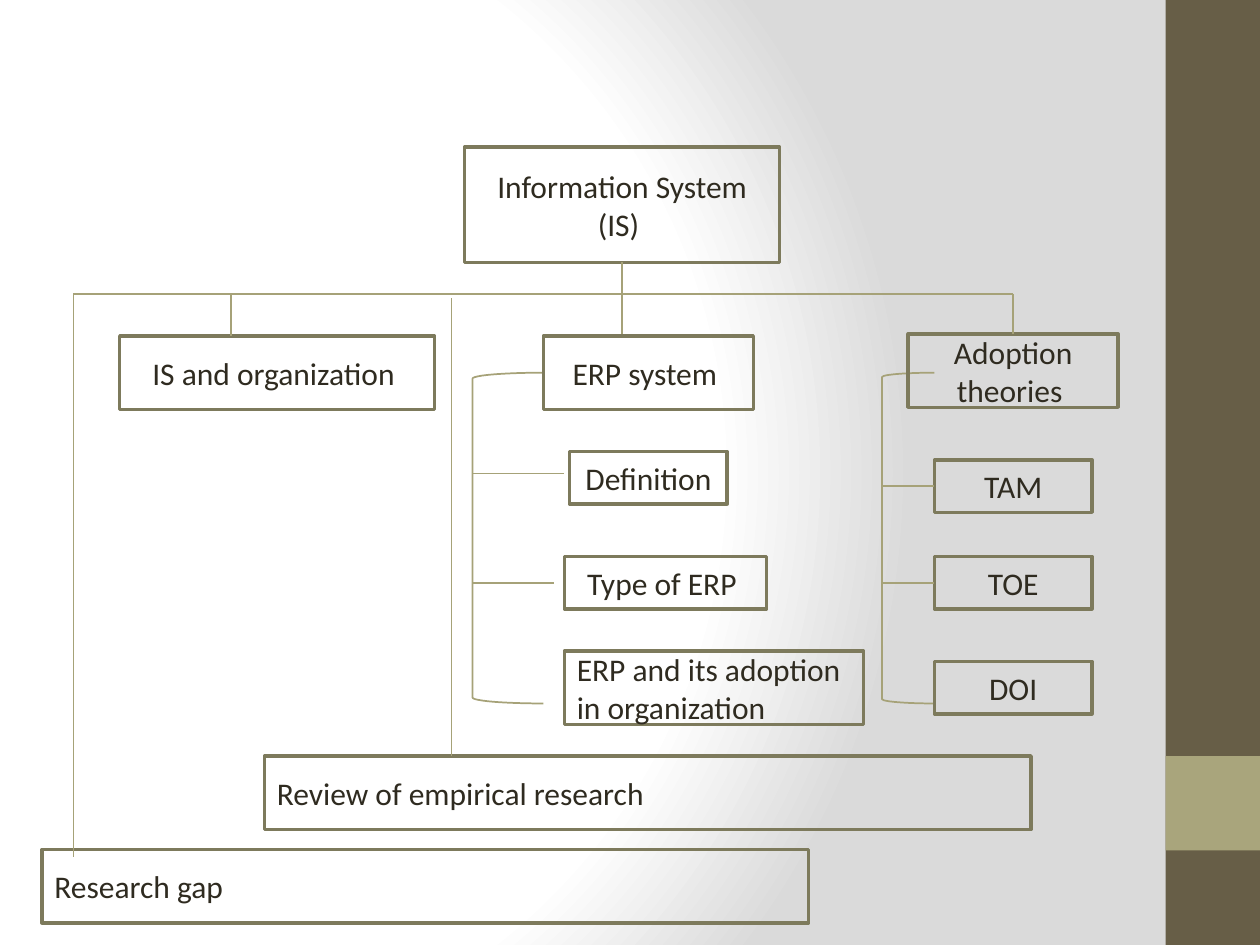
"""Builds a slide with the outline of a literature review on information systems."""
from lxml import etree
from pptx import Presentation
from pptx import util as u
from pptx.dml.color import RGBColor
from pptx.enum import shapes, text
from pptx.oxml.ns import qn

COLORS = {
    "text": "2F2B20", "border": "7D7A5C", "link": "A6A278",
    "band": "675E47", "accent": "A9A57C", "light": "FFFFFF", "shade": "DADADA",
}
COLUMNS, ROWS = 120, 90
CELL = u.Inches(10) / COLUMNS
SPINE_ROW = 28

BOXES = [
    ("Information System (IS) ", 44.25, 14, 30, 11),
    ("IS and organization ", 11.4, 32, 30, 7),
    ("ERP system ", 51.75, 32, 20, 7),
    ("Definition ", 54.25, 43, 15, 5),
    ("Type of ERP ", 53.75, 53, 19.25, 5),
    ("Adoption theories ", 86.5, 31.8, 20, 7),
    ("TAM", 89, 43.8, 15, 5),
    ("TOE", 89, 53, 15, 5),
    ("DOI", 89, 63, 15, 5),
]
LEFT_BOXES = [
    ("ERP and its adoption in organization", 53.75, 62, 28.5, 7),
    ("Review of empirical research", 25.2, 72, 73, 7),
    ("Research gap", 4, 80.9, 73, 7),
]
BRACKETS = [(45, 35.5, 6.75, 31.5), (84, 35.5, 5, 31.5)]
LINES = [
    (7, SPINE_ROW, 96.5, SPINE_ROW),
    (22, SPINE_ROW, 22, 32),
    (43, 28.4, 43, 72),
    (7, SPINE_ROW, 7, 81.6),
    (45, 45.1, 53.75, 45.1),
    (45, 55.5, 52.8, 55.5),
]


def grid(*cells):
    return [round(cell * CELL) for cell in cells]


def color(name):
    return RGBColor.from_string(COLORS[name])


def paint_background(page):
    page.background.fill.gradient()
    gradient = page.element.find(".//" + qn("a:gradFill"))
    for child in list(gradient):
        gradient.remove(child)
    stops = etree.SubElement(gradient, qn("a:gsLst"))
    for position, name in ((0, "light"), (75, "light"), (100, "shade")):
        stop = etree.SubElement(stops, qn("a:gs"), pos=str(position * 1000))
        etree.SubElement(stop, qn("a:srgbClr"), val=COLORS[name])
    circle = etree.SubElement(gradient, qn("a:path"), path="circle")
    etree.SubElement(circle, qn("a:fillToRect"), l="20000", t="50000", r="100000", b="50000")


def add_band(page, name, *cells):
    band = page.shapes.add_shape(shapes.MSO_SHAPE.RECTANGLE, *grid(*cells))
    band.shadow.inherit = False
    band.fill.solid()
    band.fill.fore_color.rgb = color(name)
    band.line.fill.background()


def add_outline(page, kind, line_name, width, cells):
    outline = page.shapes.add_shape(kind, *grid(*cells))
    outline.shadow.inherit = False
    outline.fill.background()
    outline.line.color.rgb = color(line_name)
    outline.line.width = u.Pt(width)
    return outline


def add_box(page, label, cells, align):
    box = add_outline(page, shapes.MSO_SHAPE.RECTANGLE, "border", 2, cells)
    frame = box.text_frame
    frame.word_wrap = True
    frame.vertical_anchor = text.MSO_ANCHOR.MIDDLE
    para = frame.paragraphs[0]
    para.text = label
    para.alignment = align
    para.font.name = "Calibri"
    para.font.size = u.Pt(18)
    para.font.color.rgb = color("text")
    return box


def add_line(page, *cells):
    line = page.shapes.add_connector(shapes.MSO_CONNECTOR.STRAIGHT, *grid(*cells))
    line.line.color.rgb = color("link")
    line.line.width = u.Pt(1)
    etree.SubElement(line.element.spPr, qn("a:effectLst"))
    return line


def main():
    deck = Presentation()
    deck.slide_width, deck.slide_height = grid(COLUMNS, ROWS)
    page = deck.slides.add_slide(deck.slide_layouts[6])
    paint_background(page)
    add_band(page, "band", 111, 0, 9, ROWS)
    add_band(page, "accent", 111, 72, 9, 9)
    for cells in BRACKETS:
        add_outline(page, shapes.MSO_SHAPE.LEFT_BRACKET, "link", 1, cells)

    boxes = {}
    for items, align in ((BOXES, text.PP_ALIGN.CENTER), (LEFT_BOXES, text.PP_ALIGN.LEFT)):
        for label, *cells in items:
            boxes[label.strip()] = add_box(page, label, cells, align)

    for cells in LINES:
        add_line(page, *cells)
    add_line(page, 59.25, 25, 59.25, 31.8).begin_connect(boxes["Information System (IS)"], 2)
    add_line(page, 96.5, SPINE_ROW, 96.5, 31.8).end_connect(boxes["Adoption theories"], 0)
    for label, row in (("TAM", 46.3), ("TOE", 55.5)):
        add_line(page, 84, row, 89, row).end_connect(boxes[label], 1)
    deck.save("out.pptx")


if __name__ == "__main__":
    main()
